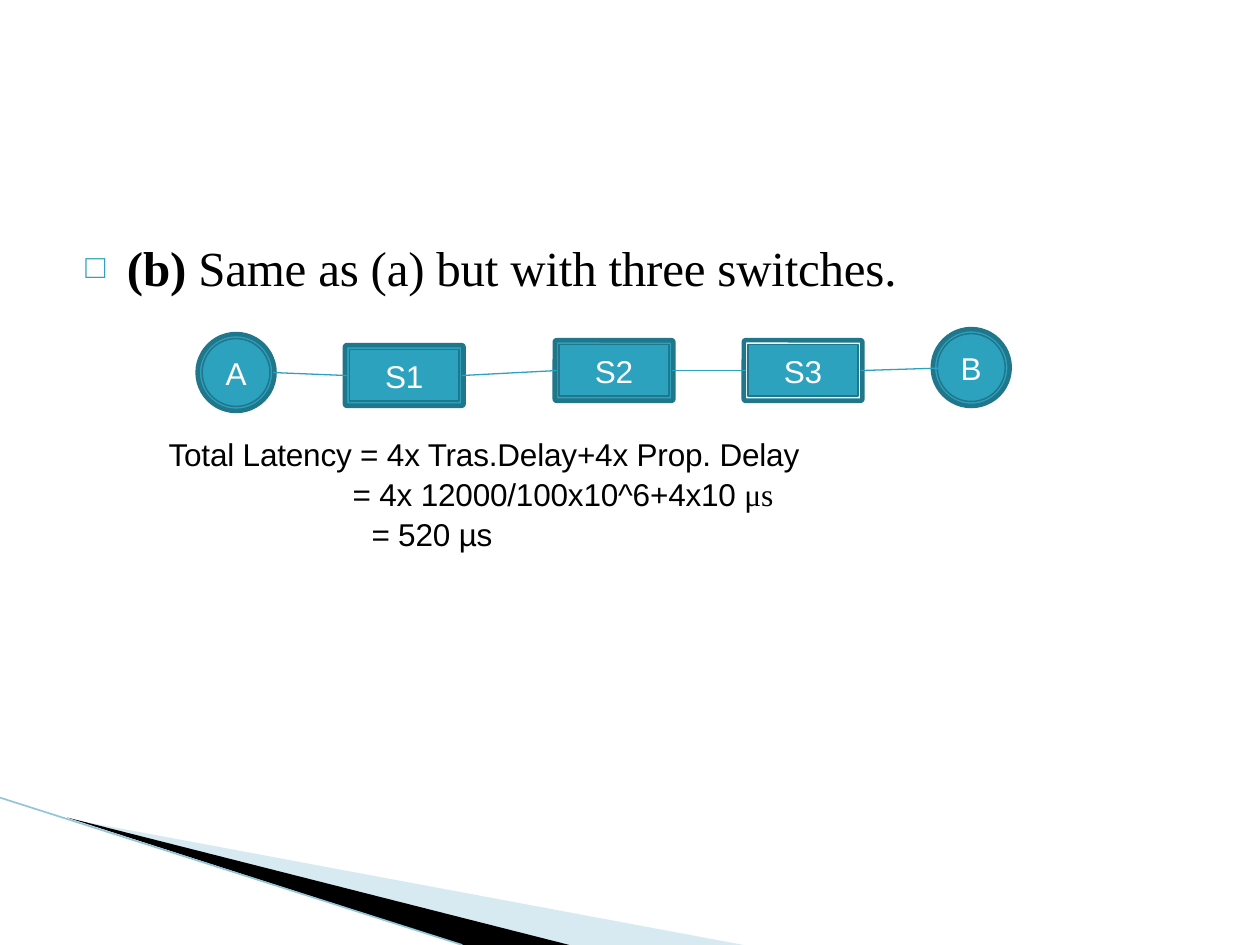
from lxml import etree
from pptx import Presentation
from pptx.dml.color import RGBColor
from pptx.enum.shapes import MSO_CONNECTOR, MSO_SHAPE
from pptx.enum.text import MSO_ANCHOR, PP_ALIGN
from pptx.oxml.ns import qn
from pptx.util import Cm, Pt

OVAL, RECT = MSO_SHAPE.OVAL, MSO_SHAPE.RECTANGLE
ROUNDED, STRAIGHT = MSO_SHAPE.ROUNDED_RECTANGLE, MSO_CONNECTOR.STRAIGHT
CENTER, MIDDLE, TOP = PP_ALIGN.CENTER, MSO_ANCHOR.MIDDLE, MSO_ANCHOR.TOP

TEAL, DARK, BLACK, WHITE = "2DA2BE", "20768B", "000000", "FFFFFF"
SERIF, SANS = "Times New Roman", "Arial"

# All lengths in cm
HEADING = [("(b) ", {"bold": True}), ("Same as (a) but with three switches.", {})]
ANSWER = [  # left indent, runs
    (0, [("Total Latency = 4x Tras.Delay+4x Prop. Delay", {})]),
    (3.71, [("= 4x 12000/100x10^6+4x10 ", {}), ("μs", {"font": SERIF})]),
    (4.09, [("= 520 µs", {})]),
]
STYLES = {  # outer shape, inner shape, outer size, inner size
    "host": (OVAL, OVAL, (1.55, 1.55), (1.37, 1.37)),
    "switch": (ROUNDED, RECT, (2.39, 1.22), (2.21, 1.04)),
}
NODES = [  # label, style, centre, link reach, rim fill
    ("A", "host", (4.76, 7.51), 0.74, TEAL),
    ("S1", "switch", (8.15, 7.57), 1.16, TEAL),
    ("S2", "switch", (12.38, 7.47), 1.16, TEAL),
    ("S3", "switch", (16.19, 7.47), 1.16, None),
    ("B", "host", (19.58, 7.41), 0.32, TEAL),
]
WEDGES = [  # colour, opacity in percent, corners
    ("9BCADC", 40, [(1.4, 16.51), (14.99, 19.05), (11.48, 19.05)]),
    (BLACK, 100, [(1.35, 16.48), (11.48, 19.05), (9.32, 19.05)]),
]
EDGE = ((0, 16.08), (9.32, 19.05))


def rgb(hex_color):
    return RGBColor.from_string(hex_color)


def add_run(p, text, font=SANS, size=18, color=BLACK, bold=False, spacing=-0.1):
    r = p.add_run()
    r.text = text
    r.font.name, r.font.size, r.font.bold = font, Pt(size), bold
    r.font.color.rgb = rgb(color)
    r.font._element.set("spc", str(round(spacing * 100)))


def clear_frame(tf, anchor=TOP, wrap=True):
    tf.margin_left = tf.margin_right = tf.margin_top = tf.margin_bottom = 0
    tf.vertical_anchor, tf.word_wrap = anchor, wrap


def add_textbox(s, x, y, w, h):
    tf = s.shapes.add_textbox(Cm(x), Cm(y), Cm(w), Cm(h)).text_frame
    clear_frame(tf)
    return tf


def set_indent(p, left, first=0):
    pPr = p._p.get_or_add_pPr()
    pPr.set("marL", str(Cm(left)))
    pPr.set("indent", str(Cm(first)))
    return pPr


def add_bullet(p, char, indent, percent):
    pPr = set_indent(p, indent, -indent)
    color = etree.SubElement(pPr, qn("a:buClr"))
    etree.SubElement(color, qn("a:srgbClr"), val=TEAL)
    etree.SubElement(pPr, qn("a:buSzPct"), val=str(percent * 1000))
    etree.SubElement(pPr, qn("a:buFont"), typeface=SANS)
    etree.SubElement(pPr, qn("a:buChar"), char=char)


def add_centred(s, kind, centre, size, fill, width):
    (cx, cy), (w, h) = centre, size
    sp = s.shapes.add_shape(kind, Cm(cx - w / 2), Cm(cy - h / 2), Cm(w), Cm(h))
    sp.shadow.inherit = False
    if fill:
        sp.fill.solid()
        sp.fill.fore_color.rgb = rgb(fill)
    else:
        sp.fill.background()
    sp.line.color.rgb, sp.line.width = rgb(DARK), Pt(width)
    return sp


def add_node(s, label, style, centre, rim):
    outer, inner, outer_size, inner_size = STYLES[style]
    sp = add_centred(s, outer, centre, outer_size, rim, 2.6)
    if outer == ROUNDED:
        sp.adjustments[0] = 0.03
    tf = add_centred(s, inner, centre, inner_size, TEAL, 0.87).text_frame
    clear_frame(tf, MIDDLE, False)
    tf.paragraphs[0].alignment = CENTER
    add_run(tf.paragraphs[0], label, color=WHITE)


def add_line(s, start, end, color, width):
    c = s.shapes.add_connector(STRAIGHT, *(Cm(v) for v in start + end))
    c.line.color.rgb, c.line.width = rgb(color), Pt(width)
    etree.SubElement(c._element.spPr, qn("a:effectLst"))


def add_wedge(s, color, opacity, corners):
    first, *rest = [(Cm(x), Cm(y)) for x, y in corners]
    fb = s.shapes.build_freeform(*first)
    fb.add_line_segments(rest, close=True)
    sp = fb.convert_to_shape()
    sp.shadow.inherit = False
    sp.fill.solid()
    sp.fill.fore_color.rgb = rgb(color)
    sp.line.fill.background()
    if opacity < 100:
        clr = sp._element.spPr.find(qn("a:solidFill"))[0]
        etree.SubElement(clr, qn("a:alpha"), val=str(opacity * 1000))


def main():
    prs = Presentation()
    prs.slide_width, prs.slide_height = Cm(25.4), Cm(19.05)
    s = prs.slides.add_slide(prs.slide_layouts[6])

    for wedge in WEDGES:
        add_wedge(s, *wedge)
    add_line(s, *EDGE, "93C5D8", 0.95)

    p = add_textbox(s, 1.72, 4.78, 17.5, 1.25).paragraphs[0]
    add_bullet(p, "□", 0.84, 68)
    for text, fmt in HEADING:
        add_run(p, text, font=SERIF, size=28, **fmt)

    tf = add_textbox(s, 3.4, 8.76, 13.5, 2.36)
    for i, (left, runs) in enumerate(ANSWER):
        p = tf.add_paragraph() if i else tf.paragraphs[0]
        set_indent(p, left)
        if i:
            p.space_before = Pt(1.3)
        for text, fmt in runs:
            add_run(p, text, **fmt)

    for label, style, centre, _, rim in NODES:
        add_node(s, label, style, centre, rim)
    for a, b in zip(NODES, NODES[1:]):
        (ax, ay), (bx, by) = a[2], b[2]
        add_line(s, (ax + a[3], ay), (bx - b[3], by), TEAL, 0.75)

    prs.save("out.pptx")


if __name__ == "__main__":
    main()
